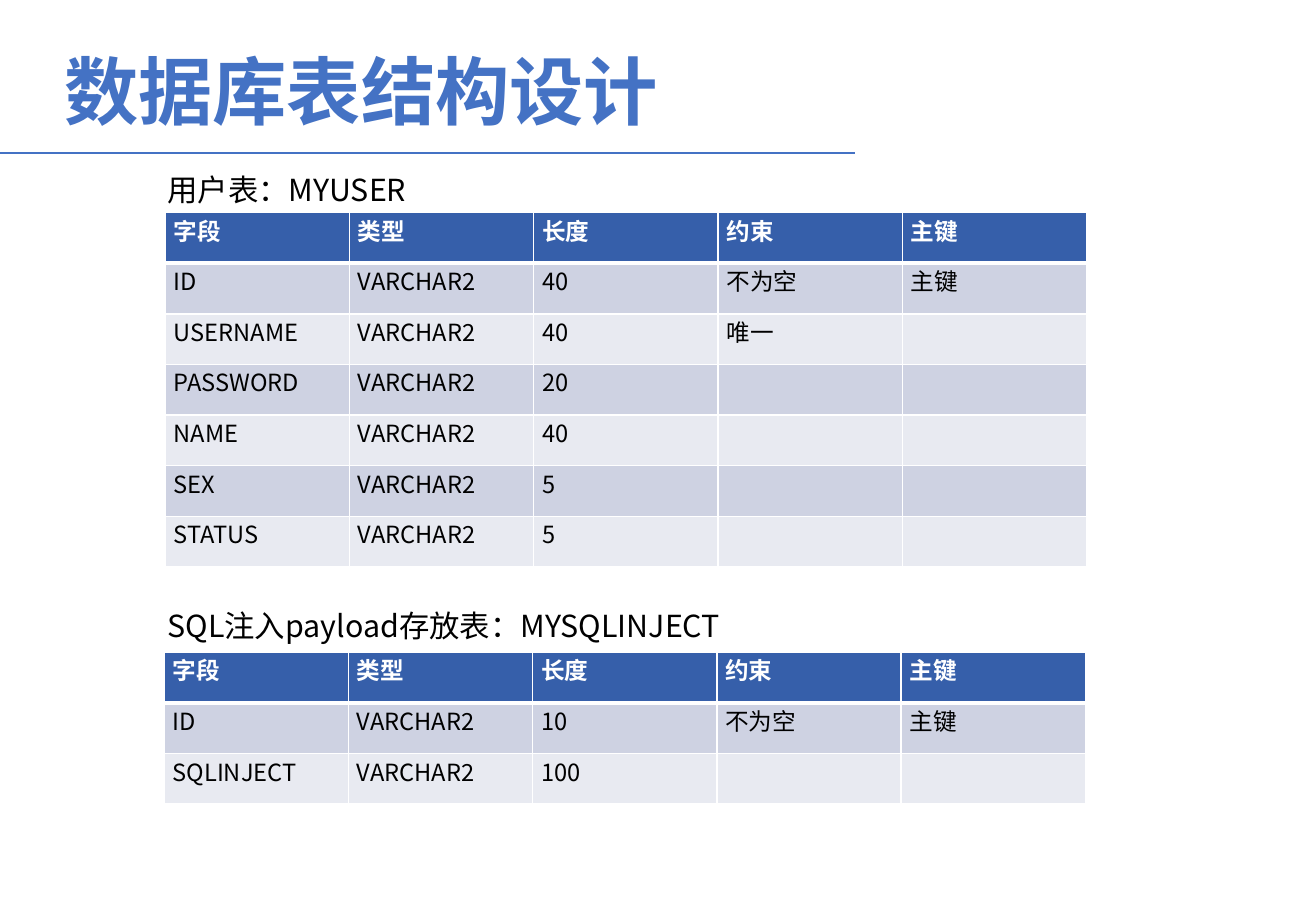
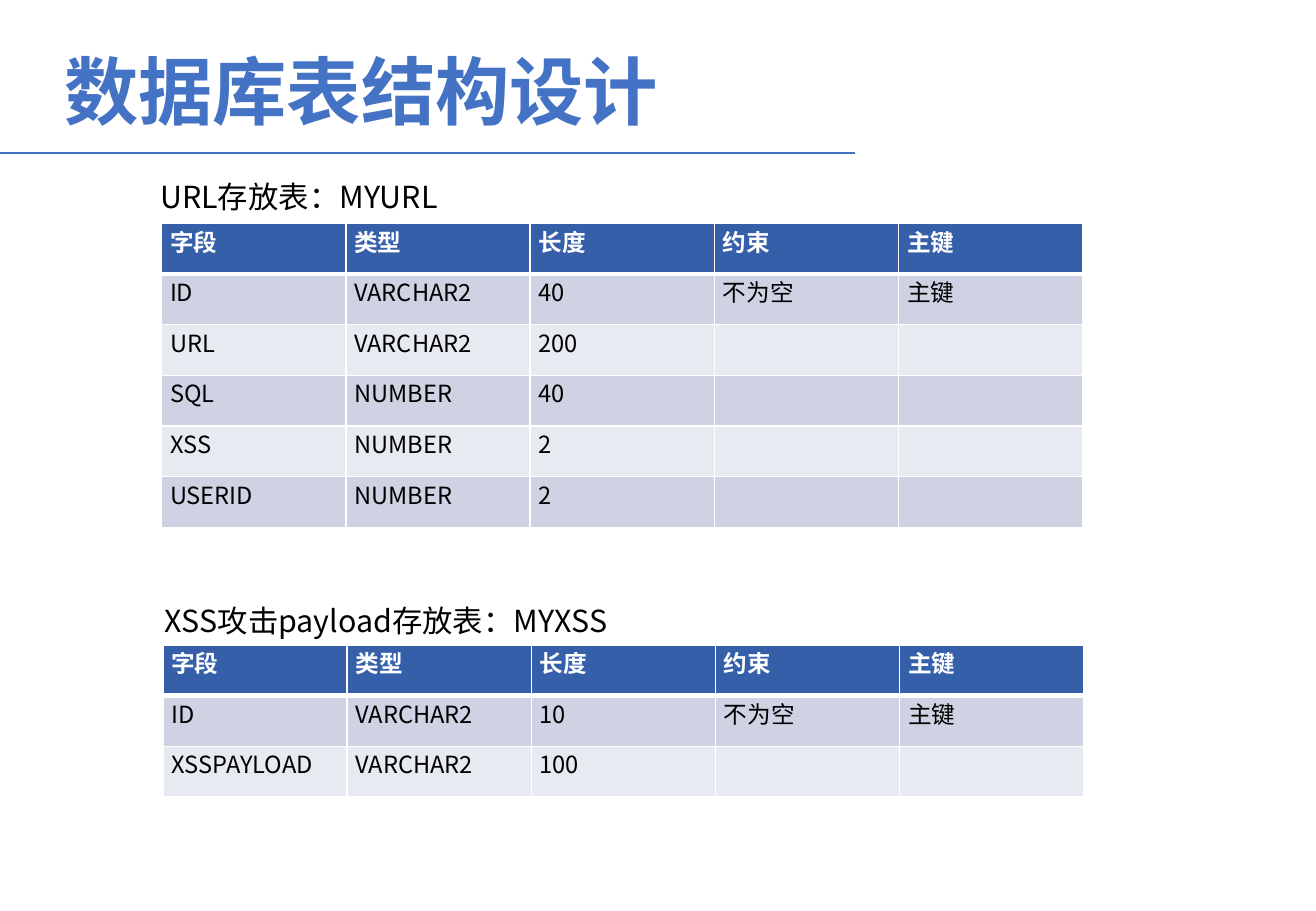
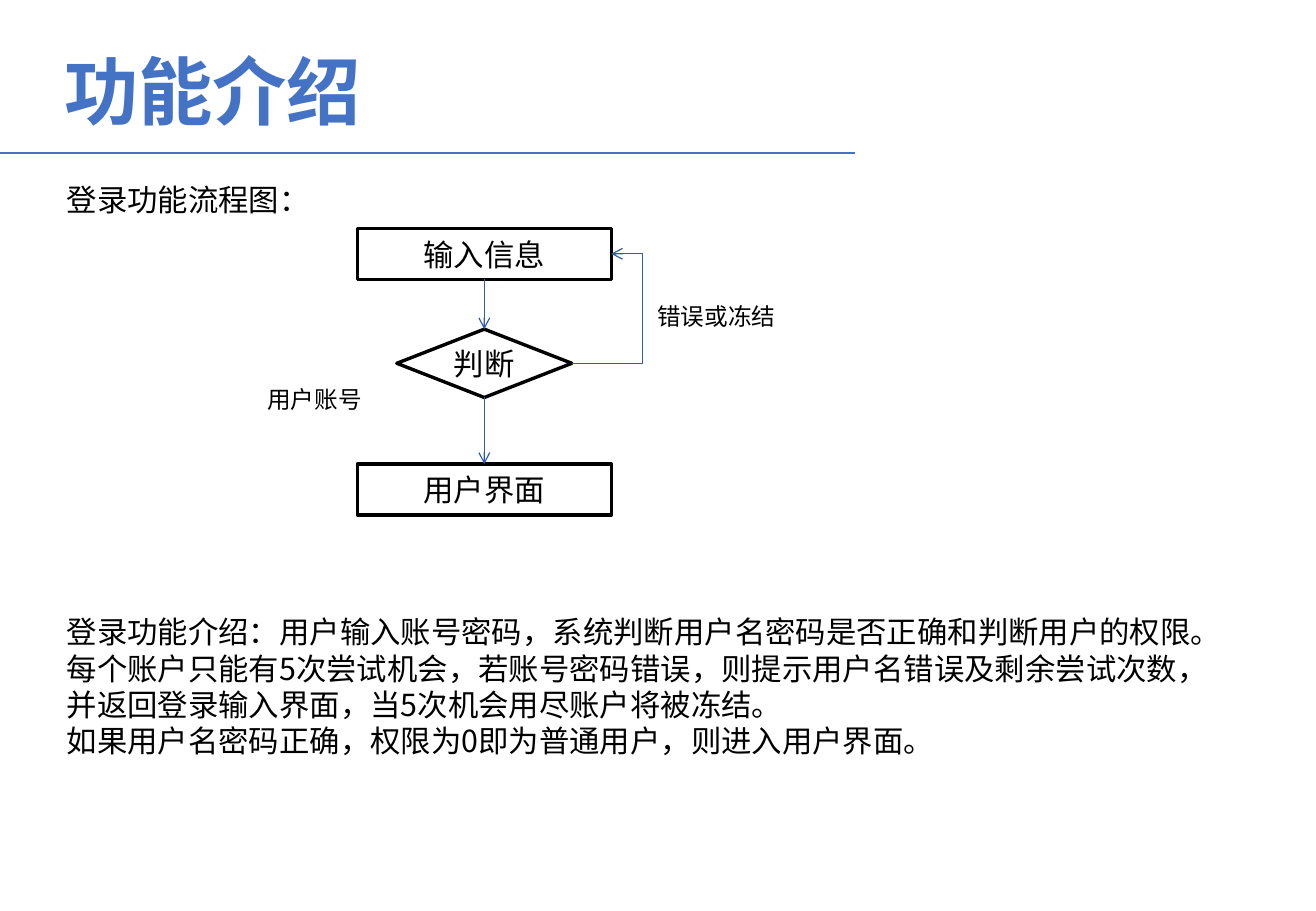
from lxml import etree
from pptx import Presentation
from pptx import util as u
from pptx.dml.color import RGBColor
from pptx.enum import shapes, text
from pptx.oxml import ns

FONT = "Noto Sans CJK SC"
COLORS = {
    "accent": "4472C4",
    "arrow": "325CA9",
    "header": "365FAA",
    "odd": "CED2E2",
    "even": "E8EAF1",
    "ink": "000000",
    "paper": "FFFFFF",
}
COLUMN_SHARE, ROW_SHARE = 14, 5.56
HEADINGS = ("字段", "类型", "长度", "约束", "主键")

deck = Presentation()
deck.slide_width, deck.slide_height = u.Inches(10.83), u.Inches(7.5)


def place(*shares):
    sides = (deck.slide_width, deck.slide_height) * 2
    return [u.Emu(round(side * share / 100)) for side, share in zip(sides, shares)]


def write(frame, lines, size=18, color="ink", bold=False, align=None):
    frame.word_wrap = True
    for index, line in enumerate(lines):
        para = frame.add_paragraph() if index else frame.paragraphs[0]
        para.alignment = align
        span = para.add_run()
        span.text = line
        span.font.name = FONT
        span.font.size = u.Pt(size)
        span.font.bold = bold
        span.font.color.rgb = RGBColor.from_string(COLORS[color])
        etree.SubElement(span._r.get_or_add_rPr(), ns.qn("a:ea"), typeface=FONT)


pages = []
for title in ("数据库表结构设计", "数据库表结构设计", "功能介绍"):
    page = deck.slides.add_slide(deck.slide_layouts[6])
    rule = page.shapes.add_connector(
        shapes.MSO_CONNECTOR.STRAIGHT, *place(0, 16.8, 65, 16.8))
    rule.line.color.rgb = RGBColor.from_string(COLORS["accent"])
    rule.line.width = u.Pt(1.25)
    etree.SubElement(rule._element.spPr, ns.qn("a:effectLst"))
    box = page.shapes.add_textbox(*place(3.97, 4.27, 80.33, 9.47))
    write(box.text_frame, [title], 44, "accent", True)
    pages.append(page)

tables = [
    (0, "用户表：MYUSER", (11.82, 18.13), (12.56, 23.33), [
        ("ID", "VARCHAR2", "40", "不为空", "主键"),
        ("USERNAME", "VARCHAR2", "40", "唯一"),
        ("PASSWORD", "VARCHAR2", "20"),
        ("NAME", "VARCHAR2", "40"),
        ("SEX", "VARCHAR2", "5"),
        ("STATUS", "VARCHAR2", "5"),
    ]),
    (0, "SQL注入payload存放表：MYSQLINJECT", (11.82, 66), (12.47, 71.6), [
        ("ID", "VARCHAR2", "10", "不为空", "主键"),
        ("SQLINJECT", "VARCHAR2", "100"),
    ]),
    (1, "URL存放表：MYURL", (11.27, 18.93), (12.28, 24.53), [
        ("ID", "VARCHAR2", "40", "不为空", "主键"),
        ("URL", "VARCHAR2", "200"),
        ("SQL", "NUMBER", "40"),
        ("XSS", "NUMBER", "2"),
        ("USERID", "NUMBER", "2"),
    ]),
    (1, "XSS攻击payload存放表：MYXSS", (11.63, 65.47), (12.37, 70.8), [
        ("ID", "VARCHAR2", "10", "不为空", "主键"),
        ("XSSPAYLOAD", "VARCHAR2", "100"),
    ]),
]

for number, caption, caption_corner, table_corner, fields in tables:
    page = pages[number]
    rows = [HEADINGS, *fields]
    size = COLUMN_SHARE * len(HEADINGS), ROW_SHARE * len(rows)
    table = page.shapes.add_table(
        len(rows), len(HEADINGS), *place(*table_corner, *size)).table
    table.horz_banding = False
    for r, values in enumerate(rows):
        band = "header" if r == 0 else "odd" if r % 2 else "even"
        widths = {"lnL": 1, "lnR": 1, "lnT": 3 if r == 1 else 1, "lnB": 3 if r == 0 else 1}
        for c in range(len(HEADINGS)):
            cell = table.cell(r, c)
            cell.margin_left = cell.margin_right = u.Inches(0.07)
            cell.margin_top = cell.margin_bottom = 0
            cell.fill.solid()
            cell.fill.fore_color.rgb = RGBColor.from_string(COLORS[band])
            for position, (edge, points) in enumerate(widths.items()):
                border = etree.Element(ns.qn("a:" + edge), w=str(u.Pt(points)))
                paint = etree.SubElement(border, ns.qn("a:solidFill"))
                etree.SubElement(paint, ns.qn("a:srgbClr"), val=COLORS["paper"])
                cell._tc.get_or_add_tcPr().insert(position, border)
            if c < len(values):
                write(cell.text_frame, [values[c]], 14, "ink" if r else "paper", r == 0)
    box = page.shapes.add_textbox(*place(*caption_corner, 48.75, 5.33))
    write(box.text_frame, [caption])

page = pages[2]
AXIS = 36.8
steps = []
for kind, label, top, width, height in (
    (shapes.MSO_SHAPE.RECTANGLE, "输入信息", 25.07, 19.3, 5.6),
    (shapes.MSO_SHAPE.DIAMOND, "判断", 36.13, 13.3, 7.5),
    (shapes.MSO_SHAPE.RECTANGLE, "用户界面", 50.93, 19.3, 5.6),
):
    step = page.shapes.add_shape(kind, *place(AXIS - width / 2, top, width, height))
    step.shadow.inherit = False
    step.fill.solid()
    step.fill.fore_color.rgb = RGBColor.from_string(COLORS["paper"])
    step.line.color.rgb = RGBColor.from_string(COLORS["ink"])
    step.line.width = u.Pt(2)
    step.text_frame.vertical_anchor = text.MSO_ANCHOR.MIDDLE
    write(step.text_frame, [label], align=text.PP_ALIGN.CENTER)
    steps.append(step)

entry, decision, home = steps
for kind, start, start_side, end, end_side in (
    (shapes.MSO_CONNECTOR.STRAIGHT, entry, 2, decision, 0),
    (shapes.MSO_CONNECTOR.ELBOW, decision, 3, entry, 3),
    (shapes.MSO_CONNECTOR.STRAIGHT, decision, 2, home, 0),
):
    arrow = page.shapes.add_connector(kind, 0, 0, 0, 0)
    arrow.begin_connect(start, start_side)
    arrow.end_connect(end, end_side)
    arrow.line.color.rgb = RGBColor.from_string(COLORS["arrow"])
    arrow.line.width = u.Pt(0.75)
    etree.SubElement(arrow.line._get_or_add_ln(), ns.qn("a:tailEnd"), type="arrow")
    properties = arrow._element.spPr
    etree.SubElement(properties, ns.qn("a:effectLst"))
    if kind == shapes.MSO_CONNECTOR.ELBOW:
        geometry = properties.find(ns.qn("a:prstGeom"))
        guides = geometry.find(ns.qn("a:avLst"))
        etree.SubElement(guides, ns.qn("a:gd"), name="adj1", fmla="val 180000")

notes = [
    (["登录功能流程图："], 18, (4.16, 19.2, 20.78, 5.33)),
    (["错误或冻结"], 14, (49.03, 32.53, 11.82, 4.53)),
    (["用户账号"], 14, (19.39, 41.6, 9.7, 4.53)),
    ([
        "登录功能介绍：用户输入账号密码，系统判断用户名密码是否正确和判断用户的权限。",
        "每个账户只能有5次尝试机会，若账号密码错误，则提示用户名错误及剩余尝试次数，",
        "并返回登录输入界面，当5次机会用尽账户将被冻结。",
        "如果用户名密码正确，权限为0即为普通用户，则进入用户界面。",
    ], 18, (4.16, 66.67, 89.65, 17.47)),
]
for lines, size, shares in notes:
    box = page.shapes.add_textbox(*place(*shares))
    write(box.text_frame, lines, size)

deck.save("out.pptx")
